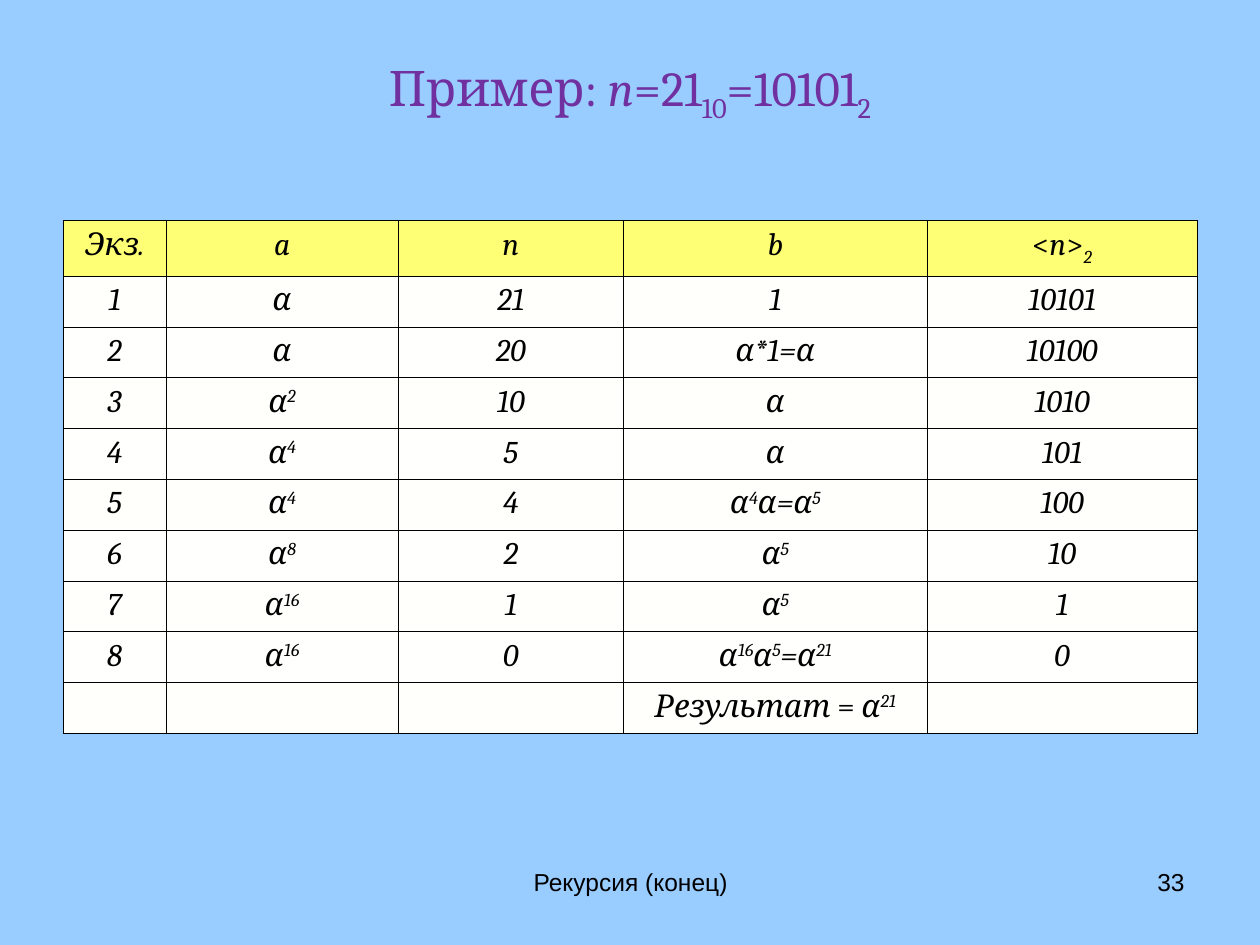
from lxml import etree
from pptx import Presentation
from pptx import util as u
from pptx.dml import color
from pptx.enum import text
from pptx.oxml import ns

COLORS = {
    "background": "99CCFF",
    "title": "7030A0",
    "text": "000000",
    "border": "000000",
    "header": "FFFF75",
    "odd_row": "FFFFFC",
    "even_row": "FFFFFD",
}
BASELINES = {"^": "30000", "_": "-25000"}


def write_text(frame, content, font="Cambria", size=18, color_name="text",
               italic=False, align=text.PP_ALIGN.CENTER,
               anchor=text.MSO_ANCHOR.TOP):
    """Runs are parted by |; ^ raises, _ lowers and ~ flips the italics."""
    frame.word_wrap = True
    frame.vertical_anchor = anchor
    paragraph = frame.paragraphs[0]
    paragraph.alignment = align
    for part in content.split("|"):
        mark = part[:1] if part[:1] in ("^", "_", "~") else ""
        run = paragraph.add_run()
        run.text = part[len(mark):]
        run.font.name = font
        run.font.size = u.Pt(size)
        run.font.italic = italic != (mark == "~")
        run.font.color.rgb = color.RGBColor.from_string(COLORS[color_name])
        if mark in BASELINES:
            run.font._element.set("baseline", BASELINES[mark])


def add_borders(cell, width=0.45):
    properties = cell._tc.get_or_add_tcPr()
    for side in ("a:lnL", "a:lnR", "a:lnT", "a:lnB"):
        line = etree.SubElement(properties, ns.qn(side), w=str(u.Pt(width)))
        fill = etree.SubElement(line, ns.qn("a:solidFill"))
        etree.SubElement(fill, ns.qn("a:srgbClr"), val=COLORS["border"])


presentation = Presentation()
presentation.slide_width = u.Inches(10)
presentation.slide_height = u.Inches(7.5)
slide = presentation.slides.add_slide(presentation.slide_layouts[6])
slide.background.fill.solid()
slide.background.fill.fore_color.rgb = color.RGBColor.from_string(COLORS["background"])

# Title
title = slide.shapes.add_textbox(u.Inches(0.5), u.Inches(0.3), u.Inches(9), u.Inches(0.84))
write_text(title.text_frame, "Пример: |~n|=21|_10|=10101|_2", size=28,
           color_name="title", anchor=text.MSO_ANCHOR.MIDDLE)

# Table of the steps of fast exponentiation
rows = [
    ["Экз.", "a", "n", "b", "~<|n|~>|_2"],
    ["1", "α", "21", "1", "10101"],
    ["2", "α", "20", "α*1=α", "10100"],
    ["3", "α|^2", "10", "α", "1010"],
    ["4", "α|^4", "5", "α", "101"],
    ["5", "α|^4", "4", "α|^4|α=α|^5", "100"],
    ["6", "α|^8", "2", "α|^5", "10"],
    ["7", "α|^16", "1", "α|^5", "1"],
    ["8", "α|^16", "0", "α|^16|α|^5|=α|^21", "0"],
    ["", "", "", "Результат |~= |α|^21", ""],
]
column_widths = [0.82, 1.84, 1.79, 2.41, 2.14]
table_height, header_height = 4.07, 0.44
row_height = (table_height - header_height) / (len(rows) - 1)

table = slide.shapes.add_table(len(rows), len(column_widths), u.Inches(0.5), u.Inches(1.75),
                               u.Inches(9), u.Inches(table_height)).table
for column, width in zip(table.columns, column_widths):
    column.width = u.Inches(width)

for row_index, row in enumerate(rows):
    table.rows[row_index].height = u.Inches(row_height if row_index else header_height)
    if row_index == 0:
        fill_name = "header"
    else:
        fill_name = "odd_row" if row_index % 2 else "even_row"
    for column_index, content in enumerate(row):
        cell = table.cell(row_index, column_index)
        add_borders(cell)
        cell.fill.solid()
        cell.fill.fore_color.rgb = color.RGBColor.from_string(COLORS[fill_name])
        if content:
            write_text(cell.text_frame, content, italic=True)

# Footer and slide number
footers = [
    ("Рекурсия (конец)", 3.42, 3.17, text.PP_ALIGN.CENTER),
    ("33", 7.17, 2.33, text.PP_ALIGN.RIGHT),
]
for content, left, width, align in footers:
    footer = slide.shapes.add_textbox(u.Inches(left), u.Inches(6.83),
                                      u.Inches(width), u.Inches(0.52))
    write_text(footer.text_frame, content, font="Arial", size=14, align=align)

presentation.save("out.pptx")
